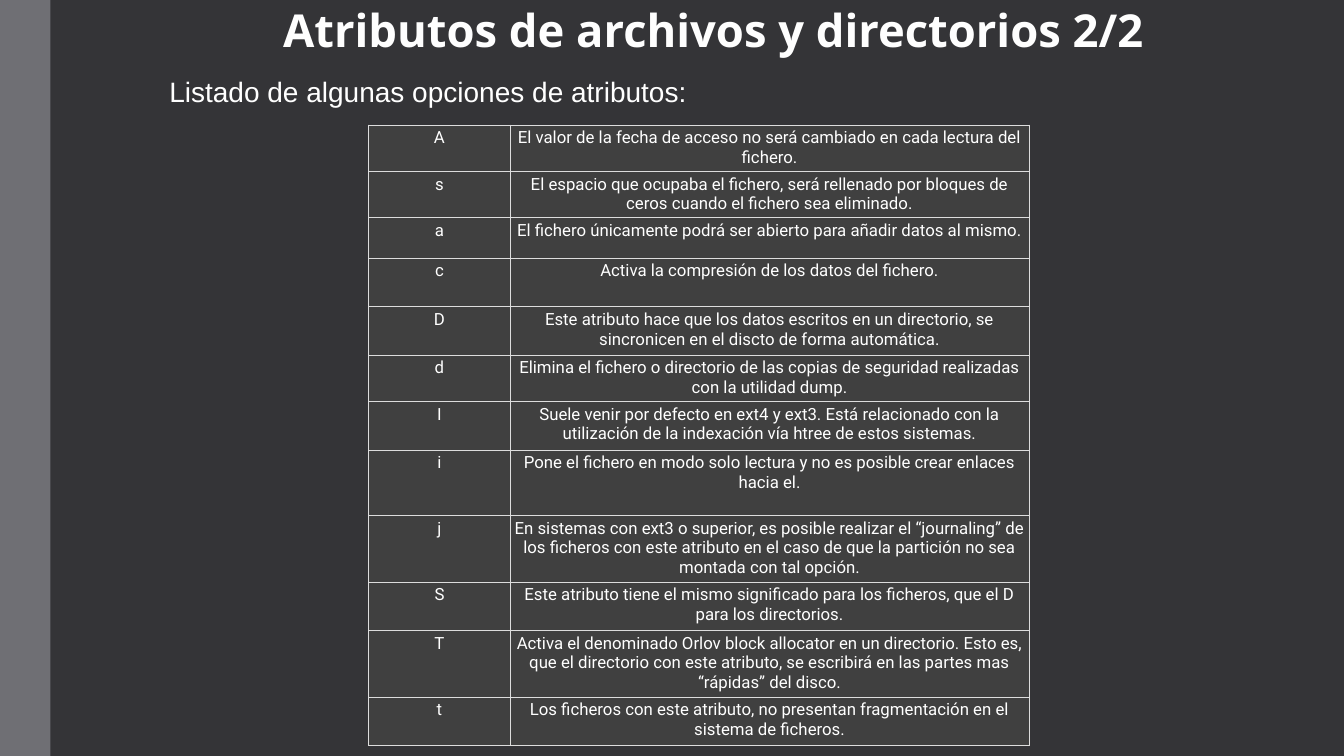
"""Build the slide on file and directory attributes."""
from dataclasses import dataclass

from lxml import etree
from pptx import Presentation
from pptx.dml.color import RGBColor
from pptx.enum import shapes, text
from pptx.oxml import ns
from pptx.util import Pt


@dataclass(frozen=True)
class Theme:
    back: str = "343437"
    bar: str = "6F6F74"
    cell: str = "404040"
    rule: str = "DDDDDD"
    head: str = "FEFEFE"
    ink: str = "FFFFFF"
    big: float = 32.4
    mid: float = 20
    small: float = 12


ROWS = [
    ("A", 22.3, "El valor de la fecha de acceso no será cambiado en cada lectura del fichero."),
    ("s", 28.8, "El espacio que ocupaba el fichero, será rellenado por bloques de ceros cuando el fichero sea eliminado."),
    ("a", 28.8, "El fichero únicamente podrá ser abierto para añadir datos al mismo."),
    ("c", 34.6, "Activa la compresión de los datos del fichero."),
    ("D", 34.6, "Este atributo hace que los datos escritos en un directorio, se sincronicen en el discto de forma automática."),
    ("d", 28.8, "Elimina el fichero o directorio de las copias de seguridad realizadas con la utilidad dump."),
    ("I", 34.6, "Suele venir por defecto en ext4 y ext3. Está relacionado con la utilización de la indexación vía htree de estos sistemas."),
    ("i", 46.8, "Pone el fichero en modo solo lectura y no es posible crear enlaces hacia el."),
    ("j", 41, "En sistemas con ext3 o superior, es posible realizar el “journaling” de los ficheros con este atributo en el caso de que la partición no sea montada con tal opción."),
    ("S", 34.6, "Este atributo tiene el mismo significado para los ficheros, que el D para los directorios."),
    ("T", 41, "Activa el denominado Orlov block allocator en un directorio. Esto es, que el directorio con este atributo, se escribirá en las partes mas “rápidas” del disco."),
    ("t", 34.6, "Los ficheros con este atributo, no presentan fragmentación en el sistema de ficheros."),
]


def paint(fill, color):
    fill.solid()
    fill.fore_color.rgb = RGBColor.from_string(color)


def write(frame, words, font, size, color, bold=False, align="LEFT", space=1.0, indent=0):
    para = frame.paragraphs[0]
    para.alignment = getattr(text.PP_ALIGN, align)
    para.line_spacing = space
    if indent:
        props = para._p.get_or_add_pPr()
        props.set("marL", str(Pt(indent)))
        props.set("indent", "0")
    run = para.add_run()
    run.text = words
    run.font.name, run.font.size, run.font.bold = font, Pt(size), bold
    run.font.color.rgb = RGBColor.from_string(color)


class Deck:
    def __init__(self, theme):
        self.theme = theme
        self.show = Presentation()
        self.show.slide_width, self.show.slide_height = Pt(960), Pt(540)
        self.slide = self.show.slides.add_slide(self.show.slide_layouts[5])
        paint(self.slide.background.fill, theme.back)

    def bar(self, *box):
        bar = self.slide.shapes.add_shape(shapes.MSO_SHAPE.RECTANGLE, *map(Pt, box))
        bar.shadow.inherit = False
        paint(bar.fill, self.theme.bar)
        bar.line.fill.background()

    def title(self, words, *box):
        title = self.slide.shapes.title
        title.left, title.top, title.width, title.height = map(Pt, box)
        frame = title.text_frame
        frame.auto_size = text.MSO_AUTO_SIZE.NONE
        frame.vertical_anchor = text.MSO_ANCHOR.BOTTOM
        frame.margin_right = 0
        write(frame, words, "Open Sans", self.theme.big, self.theme.head,
              bold=True, space=0.85, indent=216)

    def label(self, words, *box):
        frame = self.slide.shapes.add_textbox(*map(Pt, box)).text_frame
        frame.word_wrap = True
        write(frame, words, "Arial", self.theme.mid, self.theme.ink, space=0.9, indent=36)

    def edge(self, cell):
        props = cell._tc.get_or_add_tcPr()
        for side in ("lnL", "lnR", "lnT", "lnB"):
            line = etree.SubElement(props, ns.qn(f"a:{side}"), w=str(Pt(0.75)))
            fill = etree.SubElement(line, ns.qn("a:solidFill"))
            etree.SubElement(fill, ns.qn("a:srgbClr"), val=self.theme.rule)

    def cell(self, cell, words):
        cell.margin_left = cell.margin_right = Pt(2.2)
        cell.margin_top = cell.margin_bottom = Pt(2.2)
        self.edge(cell)
        paint(cell.fill, self.theme.cell)
        write(cell.text_frame, words, "Roboto", self.theme.small, self.theme.ink, align="CENTER")

    def table(self, rows, widths, left, top):
        high = sum(row[1] for row in rows)
        grid = self.slide.shapes.add_table(
            len(rows), len(widths), Pt(left), Pt(top), Pt(sum(widths)), Pt(high)).table
        grid.first_row = grid.horz_banding = False
        for col, width in zip(grid.columns, widths):
            col.width = Pt(width)
        for row, (flag, height, note) in zip(grid.rows, rows):
            row.height = Pt(height)
            for cell, words in zip(row.cells, (flag, note)):
                self.cell(cell, words)


def main():
    deck = Deck(Theme())
    deck.bar(0, 0, 36, 540)
    deck.title("Atributos de archivos y directorios 2/2", -21, 0, 845, 44)
    deck.label("Listado de algunas opciones de atributos:", 77.8, 52.6, 843, 476)
    deck.table(ROWS, (100.8, 370.8), 263.5, 89.3)
    deck.show.save("out.pptx")


if __name__ == "__main__":
    main()
